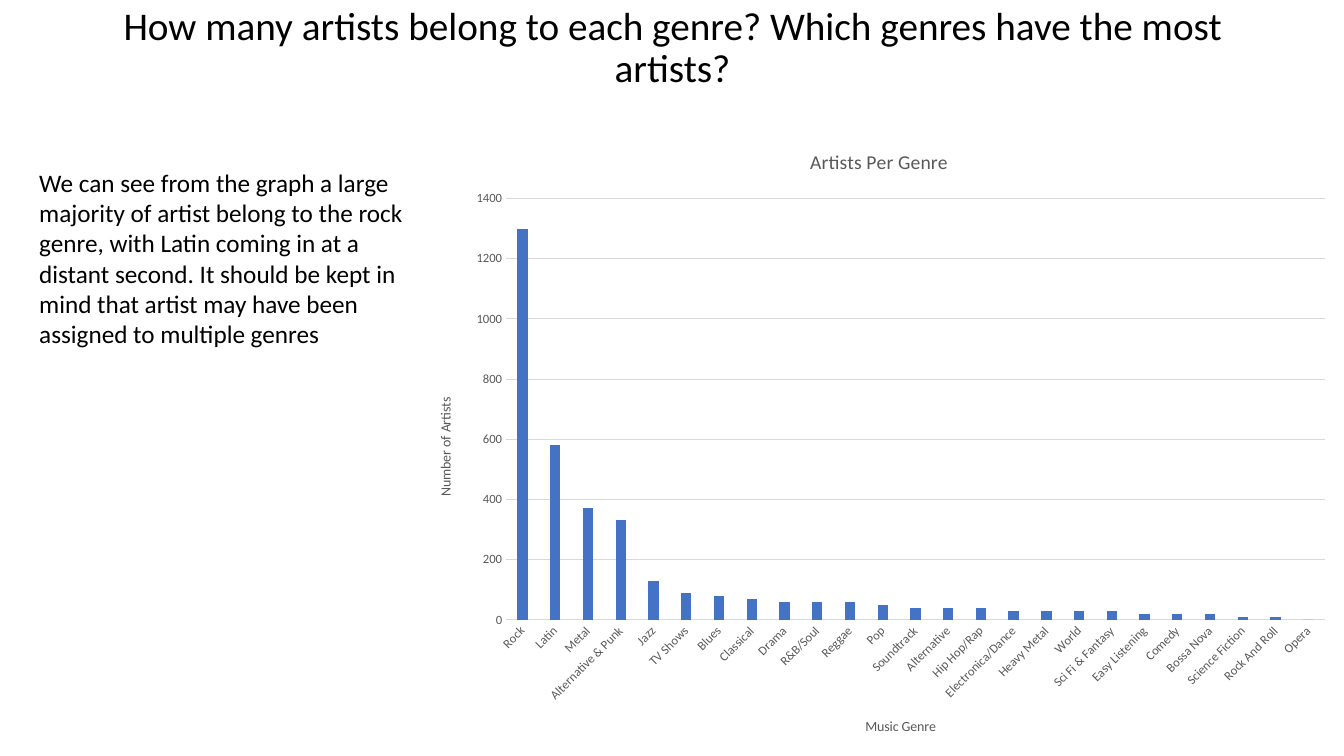
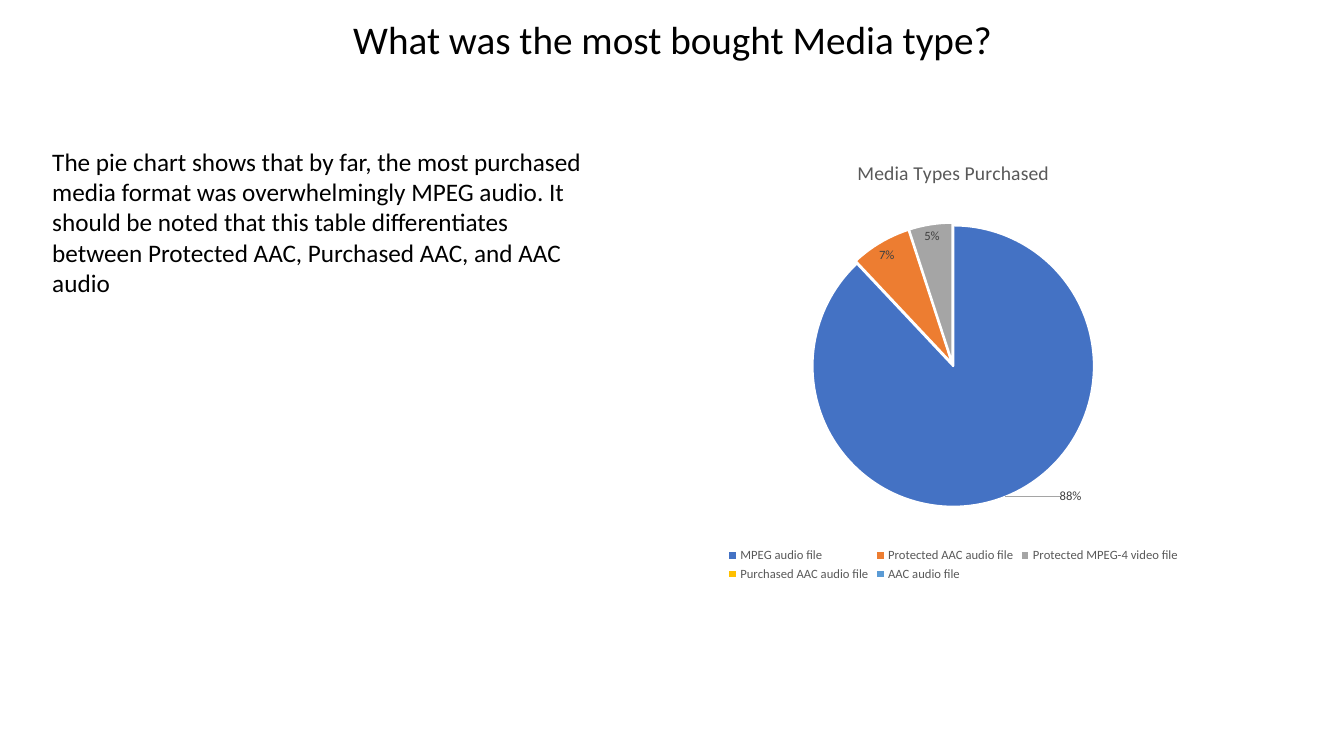
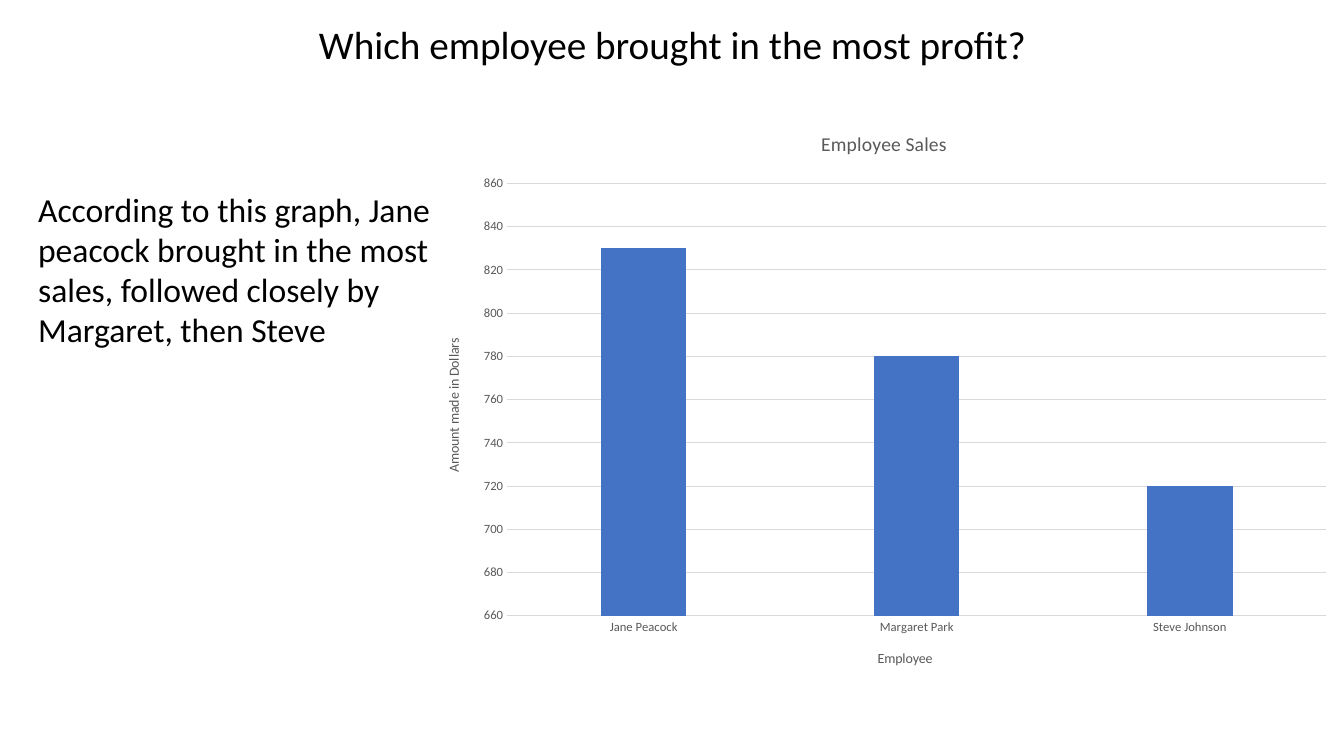
from dataclasses import dataclass

from pptx import Presentation
from pptx.chart.data import CategoryChartData
from pptx.dml.color import RGBColor
from pptx.enum import chart as charts, text
from pptx.oxml import parse_xml
from pptx.oxml.ns import nsdecls
from pptx.util import Inches, Pt


@dataclass(frozen=True)
class Theme:
    font: str = "Calibri"
    ink: str = "000000"
    muted: str = "595959"
    label: str = "404040"
    grid: str = "D9D9D9"
    white: str = "FFFFFF"
    accents: tuple = ("4472C4", "ED7D31", "A5A5A5", "FFC000", "5B9BD5")
    title: int = 28
    body: int = 18
    body_large: int = 24
    chart_title: int = 14
    axis_title: int = 10
    chart_text: int = 9


THEME = Theme()

GENRES = {
    "Rock": 1300, "Latin": 580, "Metal": 370, "Alternative & Punk": 330,
    "Jazz": 130, "TV Shows": 90, "Blues": 80, "Classical": 70, "Drama": 60,
    "R&B/Soul": 60, "Reggae": 60, "Pop": 50, "Soundtrack": 40,
    "Alternative": 40, "Hip Hop/Rap": 40, "Electronica/Dance": 30,
    "Heavy Metal": 30, "World": 30, "Sci Fi & Fantasy": 30,
    "Easy Listening": 20, "Comedy": 20, "Bossa Nova": 20,
    "Science Fiction": 10, "Rock And Roll": 10, "Opera": 0,
}
MEDIA_TYPES = {
    "MPEG audio file": 88, "Protected AAC audio file": 7,
    "Protected MPEG-4 video file": 5, "Purchased AAC audio file": 0,
    "AAC audio file": 0,
}
SALES = {"Jane Peacock": 830, "Margaret Park": 780, "Steve Johnson": 720}


# Text
def style_font(font, size, color):
    font.name = THEME.font
    font.size = Pt(size)
    font.bold = False
    font.color.rgb = RGBColor.from_string(color)


def write(frame, words, size, color):
    paragraph = frame.paragraphs[0]
    run = paragraph.add_run()
    run.text = words
    style_font(run.font, size, color)
    return paragraph


def add_titled_slide(deck, question, height):
    slide = deck.slides.add_slide(deck.slide_layouts[5])
    title = slide.shapes.title
    title.left, title.top = Inches(0.92), Inches(0)
    title.width, title.height = Inches(11.5), Inches(height)
    frame = title.text_frame
    frame.auto_size = text.MSO_AUTO_SIZE.NONE
    frame.vertical_anchor = text.MSO_ANCHOR.MIDDLE
    heading = write(frame, question, THEME.title, THEME.ink)
    heading.alignment = text.PP_ALIGN.CENTER
    heading.line_spacing = 0.9
    return slide


def add_finding(slide, words, box, size):
    frame = slide.shapes.add_textbox(*map(Inches, box)).text_frame
    frame.word_wrap = True
    frame.auto_size = text.MSO_AUTO_SIZE.SHAPE_TO_FIT_TEXT
    write(frame, words, size, THEME.ink)


# Charts
def add_chart(slide, kind, heading, values, box, plot):
    data = CategoryChartData()
    data.categories = list(values)
    data.add_series("Series 1", list(values.values()))
    chart = slide.shapes.add_chart(kind, *map(Inches, box), data).chart
    style_font(chart.font, 10, THEME.ink)
    chart.has_title = True
    write(chart.chart_title.text_frame, heading, THEME.chart_title, THEME.muted)
    chart.chart_title.include_in_layout = False
    set_plot_area(chart, box, plot)
    return chart


def set_plot_area(chart, box, plot):
    """Place the plot, given in slide inches, as shares of the chart's box."""
    left, top, width, height = box
    shares = ((plot[0] - left) / width, (plot[1] - top) / height,
              plot[2] / width, plot[3] / height)
    area = chart._chartSpace.chart.plotArea
    for old in area.xpath("c:layout"):
        area.remove(old)
    sizes = "".join(f'<c:{side} val="{share}"/>' for side, share in zip("xywh", shares))
    area.insert(0, parse_xml(
        f'<c:layout {nsdecls("c")}><c:manualLayout><c:layoutTarget val="inner"/>'
        f'<c:xMode val="edge"/><c:yMode val="edge"/>{sizes}'
        "</c:manualLayout></c:layout>"))


def style_axis(axis, heading):
    axis.has_title = True
    write(axis.axis_title.text_frame, heading, THEME.axis_title, THEME.muted)
    axis.major_tick_mark = axis.minor_tick_mark = charts.XL_TICK_MARK.NONE
    style_font(axis.tick_labels.font, THEME.chart_text, THEME.muted)


def style_rule(line):
    line.color.rgb = RGBColor.from_string(THEME.grid)
    line.width = Pt(0.75)


def add_columns(slide, heading, values, box, plot, axis_names, scale, slanted=False):
    chart = add_chart(slide, charts.XL_CHART_TYPE.COLUMN_CLUSTERED,
                      heading, values, box, plot)
    chart.has_legend = False
    across, up = chart.category_axis, chart.value_axis
    for axis, name in zip((across, up), axis_names):
        style_axis(axis, name)
    style_rule(across.format.line)
    style_rule(up.major_gridlines.format.line)
    up.format.line.fill.background()
    up.minimum_scale, up.maximum_scale, up.major_unit = scale
    if slanted:
        across._element.txPr.bodyPr.set("rot", "-2700000")
    columns = chart.plots[0]
    columns.gap_width, columns.overlap = 219, -27
    columns.vary_by_categories = False
    fill = columns.series[0].format.fill
    fill.solid()
    fill.fore_color.rgb = RGBColor.from_string(THEME.accents[0])


def add_pie(slide, heading, values, box, plot):
    chart = add_chart(slide, charts.XL_CHART_TYPE.PIE, heading, values, box, plot)
    chart.has_legend = True
    chart.legend.position = charts.XL_LEGEND_POSITION.BOTTOM
    chart.legend.include_in_layout = False
    style_font(chart.legend.font, THEME.chart_text, THEME.muted)
    pie = chart.plots[0]
    pie.vary_by_categories = True
    series = pie.series[0]
    for index, color in enumerate(THEME.accents):
        slice_format = series.points[index].format
        slice_format.fill.solid()
        slice_format.fill.fore_color.rgb = RGBColor.from_string(color)
        slice_format.line.color.rgb = RGBColor.from_string(THEME.white)
        slice_format.line.width = Pt(1.5)
    explosion = parse_xml(f'<c:explosion {nsdecls("c")} val="1"/>')
    series._element.xpath("c:dPt")[0].addprevious(explosion)
    label_slices(series, values)


def label_slices(series, values):
    labels = series.data_labels
    labels.show_percentage = True
    labels.show_value = False
    labels.number_format, labels.number_format_is_linked = "0%", False
    labels.position = charts.XL_LABEL_POSITION.BEST_FIT
    style_font(labels.font, THEME.chart_text, THEME.label)
    # The largest share is labelled outside the pie
    flags = "".join(f'<c:show{part} val="{int(part == "Percent")}"/>' for part in
                    ("LegendKey", "Val", "CatName", "SerName", "Percent", "BubbleSize"))
    entries = [
        '<c:idx val="0"/><c:layout><c:manualLayout><c:x val="0.08"/>'
        '<c:y val="-0.03"/></c:manualLayout></c:layout>'
        f'<c:dLblPos val="bestFit"/>{flags}']
    # Empty shares have no label
    entries += [f'<c:idx val="{index}"/><c:delete val="1"/>'
                for index, share in enumerate(values.values()) if share == 0]
    for position, entry in enumerate(entries):
        labels._element.insert(position, parse_xml(
            f'<c:dLbl {nsdecls("c")}>{entry}</c:dLbl>'))
    for old in labels._element.xpath("c:showLeaderLines"):
        labels._element.remove(old)
    labels._element.append(parse_xml(f'<c:showLeaderLines {nsdecls("c")} val="1"/>'))
    labels._element.append(parse_xml(
        f'<c:leaderLines {nsdecls("c", "a")}><c:spPr><a:ln w="9525"><a:solidFill>'
        f'<a:srgbClr val="{THEME.accents[2]}"/></a:solidFill></a:ln></c:spPr>'
        "</c:leaderLines>"))


def main():
    deck = Presentation()
    deck.slide_width, deck.slide_height = Inches(13.33), Inches(7.5)

    # Artists per genre
    genre = add_titled_slide(
        deck, "How many artists belong to each genre? Which genres have the most artists?", 0.97)
    add_columns(genre, "Artists Per Genre", GENRES, (4.11, 1.26, 9.22, 6.24),
                (5.02, 1.97, 8.12, 4.18), ("Music Genre", "Number of Artists"),
                (0, 1400, 200), slanted=True)
    add_finding(
        genre, "We can see from the graph a large majority of artist belong to the rock "
        "genre, with Latin coming in at a distant second. It should be kept in mind that "
        "artist may have been assigned to multiple genres",
        (0.29, 1.61, 4.08, 1.92), THEME.body)

    # Media types purchased
    media = add_titled_slide(deck, "What was the most bought Media type?", 0.83)
    add_pie(media, "Media Types Purchased", MEDIA_TYPES, (6.2, 1.4, 6.51, 4.41),
            (8.02, 2.21, 2.86, 2.82))
    add_finding(
        media, "The pie chart shows that by far, the most purchased media format was "
        "overwhelmingly MPEG audio. It should be noted that this table differentiates "
        "between Protected AAC, Purchased AAC, and AAC audio",
        (0.42, 1.4, 5.5, 1.62), THEME.body)

    # Sales per employee
    employee = add_titled_slide(deck, "Which employee brought in the most profit?", 0.92)
    add_columns(employee, "Employee Sales", SALES, (4.38, 1.08, 8.78, 6.23),
                (5.03, 1.82, 8.13, 4.29), ("Employee", "Amount made in Dollars"),
                (660, 860, 20))
    add_finding(
        employee, "According to this graph, Jane peacock brought in the most sales, "
        "followed closely by Margaret, then Steve",
        (0.28, 1.82, 4.1, 1.72), THEME.body_large)

    deck.save("out.pptx")


if __name__ == "__main__":
    main()
